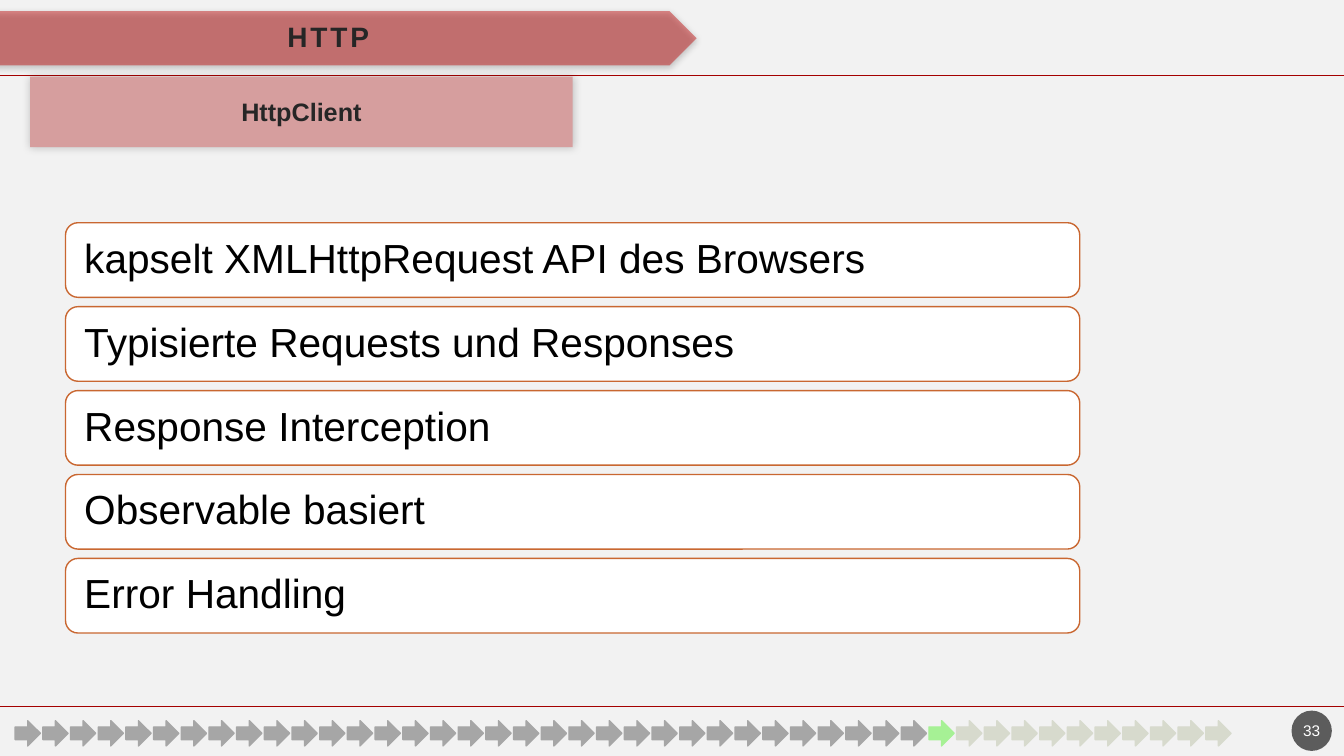
from dataclasses import dataclass

from lxml import etree
from pptx import Presentation
from pptx.dml.color import RGBColor
from pptx.enum.shapes import MSO_CONNECTOR as Connector, MSO_SHAPE as Shape
from pptx.enum.text import MSO_ANCHOR as Anchor, PP_ALIGN as Align
from pptx.oxml.ns import qn
from pptx.util import Inches, Pt

# Content
TITLE = "HTTP"
SUBTITLE = "HttpClient"
FEATURES = [
    "kapselt XMLHttpRequest API des Browsers",
    "Typisierte Requests und Responses",
    "Response Interception",
    "Observable basiert",
    "Error Handling",
]
PAGE_NUMBER = "33"
STEPS_DONE, STEPS_TOTAL = 33, 44


@dataclass(frozen=True)
class Theme:
    font: str = "Arial"
    background: str = "F2F2F2"
    rule: str = "A40000"
    banner: str = "C00000"
    subtitle_fill: str = "D69E9E"
    heading: str = "262626"
    box_fill: str = "FFFFFF"
    box_line: str = "C96731"
    body: str = "000000"
    badge: str = "1D1D1D"
    badge_text: str = "FFFFFF"
    done: str = "A6A6A6"
    current: str = "A6F195"
    ahead: str = "D7DACD"
    title_size: int = 20
    subtitle_size: int = 18
    body_size: int = 29
    badge_size: int = 11


THEME = Theme()


def rgb(code):
    return RGBColor.from_string(code)


def place(shape, left, top, width, height):
    shape.left, shape.top = Inches(left), Inches(top)
    shape.width, shape.height = Inches(width), Inches(height)


def add_shape(page, kind, at, fill, line=None, alpha=None):
    shape = page.shapes.add_shape(kind, *map(Inches, at))
    shape.shadow.inherit = False
    shape.fill.solid()
    shape.fill.fore_color.rgb = rgb(fill)
    if alpha:
        color = shape.fill._xPr.find(qn("a:solidFill"))[0]
        etree.SubElement(color, qn("a:alpha"), val=str(alpha * 1000))
    if line:
        shape.line.color.rgb = rgb(line)
        shape.line.width = Pt(1)
    else:
        shape.line.fill.background()
    return shape


def add_shadow(shape, alpha, blur, distance, angle):
    effects = shape._element.spPr.find(qn("a:effectLst"))
    shadow = etree.SubElement(
        effects, qn("a:outerShdw"), blurRad=str(Pt(blur)), dist=str(Pt(distance)),
        dir=str(angle * 60000), algn="ctr", rotWithShape="0")
    color = etree.SubElement(shadow, qn("a:srgbClr"), val="000000")
    etree.SubElement(color, qn("a:alpha"), val=str(alpha * 1000))


def write(shape, text, size, color, bold=False, align=Align.CENTER, insets=(0.1, 0.05)):
    frame = shape.text_frame
    frame.word_wrap = True
    frame.vertical_anchor = Anchor.MIDDLE
    frame.margin_left = frame.margin_right = Inches(insets[0])
    frame.margin_top = frame.margin_bottom = Inches(insets[1])
    para = frame.paragraphs[0]
    para.alignment = align
    span = para.add_run()
    span.text = text
    span.font.name = THEME.font
    span.font.size = Pt(size)
    span.font.bold = bold
    span.font.color.rgb = rgb(color)
    return para


def add_rule(page, top, weight):
    rule = page.shapes.add_connector(
        Connector.STRAIGHT, 0, Inches(top), Inches(13.33), Inches(top))
    rule.line.color.rgb = rgb(THEME.rule)
    rule.line.width = Pt(weight)
    etree.SubElement(rule._element.spPr, qn("a:effectLst"))


def add_header(page):
    banner = add_shape(page, Shape.PENTAGON, (-0.08, 0.11, 6.99, 0.54),
                       THEME.banner, alpha=43)
    add_shadow(banner, 45, 4.4, 1.2, 90)

    # The title sits in front of its banner
    title = page.shapes.title
    place(title, 0, 0.11, 6.51, 0.54)
    banner._element.addnext(title._element)
    para = write(title, TITLE, THEME.title_size, THEME.heading, True, insets=(0.2, 0.2))
    para.line_spacing = 0.9
    para.runs[0].font._element.set("spc", "200")

    subtitle = add_shape(page, Shape.RECTANGLE, (0.3, 0.76, 5.38, 0.7),
                         THEME.subtitle_fill)
    add_shadow(subtitle, 20, 6, 0, 225)
    para = write(subtitle, SUBTITLE, THEME.subtitle_size, THEME.heading, True)
    para.space_before = Pt(10)


def add_features(page):
    first, last = 2.21, 5.54
    pitch = (last - first) / (len(FEATURES) - 1)
    for index, feature in enumerate(FEATURES):
        box = add_shape(page, Shape.ROUNDED_RECTANGLE,
                        (0.65, first + index * pitch, 10.06, 0.74),
                        THEME.box_fill, THEME.box_line)
        para = write(box, feature, THEME.body_size, THEME.body,
                     align=Align.LEFT, insets=(0.15, 0.12))
        para.line_spacing = 0.9


def add_progress(page):
    first, last = 0.15, 11.96
    pitch = (last - first) / (STEPS_TOTAL - 1)
    for step in range(STEPS_TOTAL):
        if step < STEPS_DONE:
            color = THEME.done
        elif step == STEPS_DONE:
            color = THEME.current
        else:
            color = THEME.ahead
        add_shape(page, Shape.RIGHT_ARROW, (first + step * pitch, 7.15, 0.25, 0.25),
                  color, color)


def add_badge(page):
    badge = add_shape(page, Shape.OVAL, (12.81, 7.05, 0.4, 0.4), THEME.badge, alpha=70)
    write(badge, PAGE_NUMBER, THEME.badge_size, THEME.badge_text, insets=(0.02, 0.05))


def main():
    deck = Presentation()
    deck.slide_width, deck.slide_height = Inches(13.33), Inches(7.5)
    page = deck.slides.add_slide(deck.slide_layouts[5])
    page.background.fill.solid()
    page.background.fill.fore_color.rgb = rgb(THEME.background)

    # Rules above and below the content
    add_rule(page, 0.75, 1)
    add_rule(page, 7.01, 0.75)

    add_header(page)
    add_badge(page)
    add_features(page)
    add_progress(page)
    deck.save("out.pptx")


if __name__ == "__main__":
    main()
